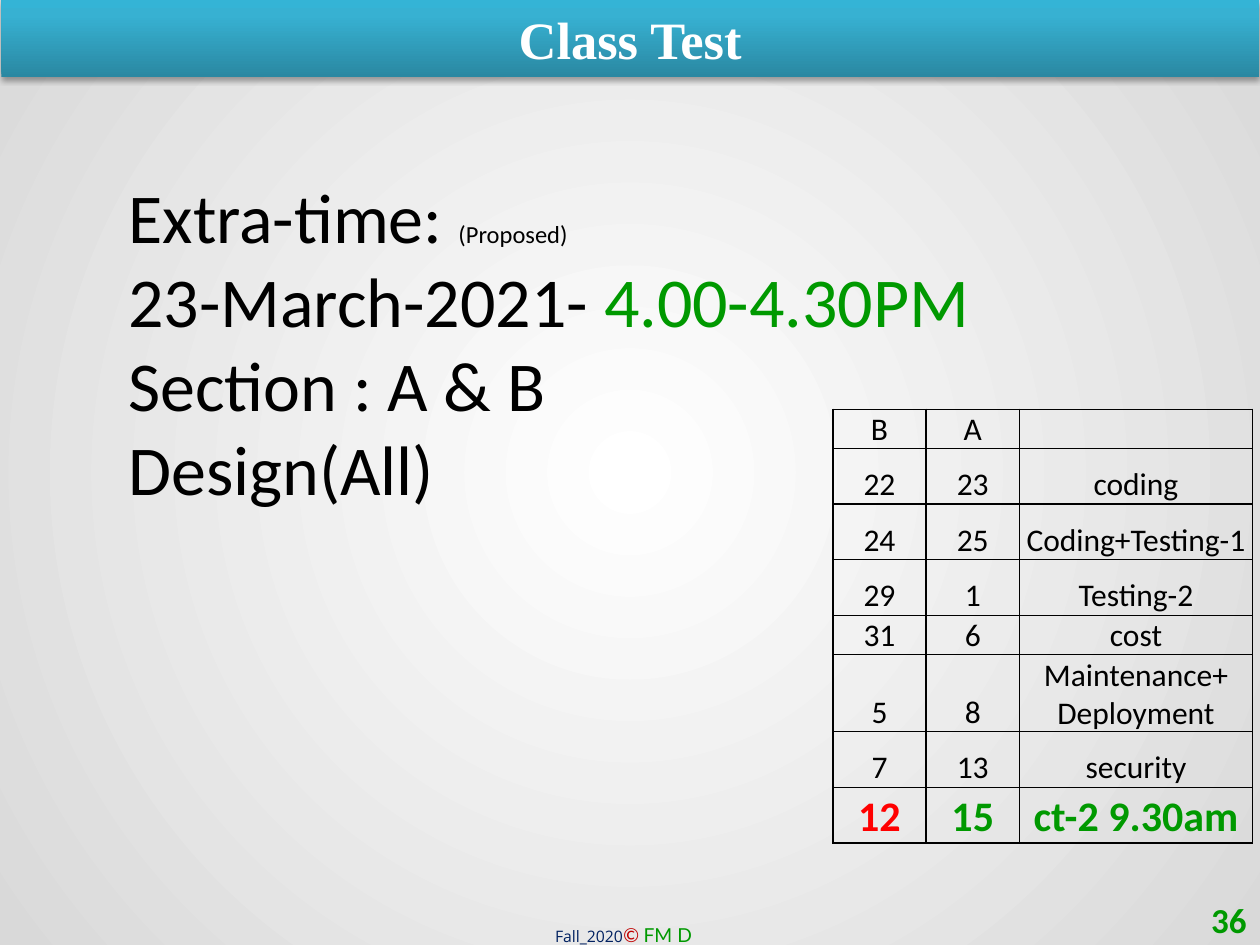
"""Build the Class Test slide with its schedule table."""
from copy import deepcopy

from lxml.etree import SubElement
from pptx import Presentation
from pptx.dml.color import RGBColor
from pptx.enum.shapes import MSO_SHAPE
from pptx.enum.text import MSO_ANCHOR, PP_ALIGN
from pptx.oxml.ns import qn
from pptx.util import Cm, Pt

COLORS = {
    "black": "000000", "white": "FFFFFF", "gray": "D9D9D9",
    "green": "009900", "red": "FF0000", "crimson": "C00000", "navy": "002060",
    "teal_dark": "2A88A2", "teal": "37B1D2", "teal_light": "34B4D6",
}


def add_run(p, text, size=18, font="Calibri", color="black", bold=False, italic=False):
    r = p.add_run()
    r.text = text
    r.font.size = Pt(size)
    r.font.name = font
    r.font.bold = bold
    r.font.italic = italic
    r.font.color.rgb = RGBColor.from_string(COLORS[color])


def set_stops(fill, stops):
    fill.gradient()
    gs_lst = fill.gradient_stops[0]._gs.getparent()
    while len(gs_lst) < len(stops):
        gs_lst.append(deepcopy(gs_lst[0]))
    for stop, (position, color) in zip(fill.gradient_stops, stops):
        stop.position = position
        stop.color.rgb = RGBColor.from_string(COLORS[color])
    return gs_lst.getparent()


prs = Presentation()
prs.slide_width, prs.slide_height = Cm(25.4), Cm(19.05)
s = prs.slides.add_slide(prs.slide_layouts[6])

grad = set_stops(s.background.fill, [(0, "white"), (1, "gray")])
for lin in grad.findall(qn("a:lin")):
    grad.remove(lin)
circle = SubElement(grad, qn("a:path"), path="circle")
SubElement(circle, qn("a:fillToRect"), l="50000", t="50000", r="50000", b="50000")

bar = s.shapes.add_shape(MSO_SHAPE.RECTANGLE, Cm(0.03), Cm(0), Cm(25.35), Cm(1.55))
set_stops(bar.fill, [(0, "teal_dark"), (0.8, "teal"), (1, "teal_light")])
bar.fill.gradient_angle = 90
bar.line.fill.background()
bar.shadow.inherit = False
effects = bar._element.spPr.find(qn("a:effectLst"))
shadow = SubElement(effects, qn("a:outerShdw"), blurRad=str(Pt(3.1)),
                    dist=str(Pt(1.8)), dir="5400000", rotWithShape="0")
shadow_color = SubElement(shadow, qn("a:srgbClr"), val=COLORS["black"])
SubElement(shadow_color, qn("a:alpha"), val="35000")
bar.text_frame.vertical_anchor = MSO_ANCHOR.MIDDLE
p = bar.text_frame.paragraphs[0]
p.alignment = PP_ALIGN.CENTER
add_run(p, "Class Test", size=30, font="Times New Roman", color="white", bold=True)

big = {"size": 40}
green = {"color": "green"}
text_boxes = [
    ((10.94, 18.49, 3.4, 0.74), PP_ALIGN.LEFT, MSO_ANCHOR.TOP, [[
        ("Fall_2020", {"size": 9, "font": "Open Sans", "color": "navy"}),
        ("© ", {"size": 11, "font": "Lato", "color": "crimson", "italic": True}),
        ("FM D", {"size": 11, "font": "Lato", **green})]]),
    ((19.46, 18.03, 5.92, 1.02), PP_ALIGN.RIGHT, MSO_ANCHOR.MIDDLE, [[
        ("36", {"size": 20, "bold": True, **green})]]),
    ((2.34, 3.38, 17.63, 7.09), PP_ALIGN.LEFT, MSO_ANCHOR.TOP, [
        [("Extra-time: ", big), ("(Proposed)", {"size": 14})],
        [("23-March-2021- ", big), ("4.00-4.30PM", {**big, **green})],
        [("Section : A & B", big)],
        [("Design(All)", big)]]),
]
for box, align, anchor, lines in text_boxes:
    tf = s.shapes.add_textbox(*map(Cm, box)).text_frame
    tf.word_wrap = True
    tf.vertical_anchor = anchor
    for i, runs in enumerate(lines):
        p = tf.add_paragraph() if i else tf.paragraphs[0]
        p.alignment = align
        for text, style in runs:
            add_run(p, text, **style)

schedule = [
    (0.66, "B", "A", ""),
    (1.12, "22", "23", "coding"),
    (1.12, "24", "25", "Coding+Testing-1"),
    (1.12, "29", "1", "Testing-2"),
    (0.61, "31", "6", "cost"),
    (0.58, "5", "8", "Maintenance+ Deployment"),
    (1.12, "7", "13", "security"),
    (1.12, "12", "15", "ct-2 9.30am"),
]
widths = [1.88, 1.88, 4.7]
table = s.shapes.add_table(len(schedule), len(widths), Cm(16.79), Cm(8.25),
                           Cm(sum(widths)), Cm(sum(row[0] for row in schedule))).table
table.first_row = table.horz_banding = False
for column, width in zip(table.columns, widths):
    column.width = Cm(width)
for i, (height, *texts) in enumerate(schedule):
    table.rows[i].height = Cm(height)
    for j, text in enumerate(texts):
        cell = table.cell(i, j)
        cell.vertical_anchor = MSO_ANCHOR.BOTTOM
        cell.margin_left = cell.margin_right = cell.margin_top = Cm(0.03)
        cell.margin_bottom = Cm(0)
        tc_pr = cell._tc.get_or_add_tcPr()
        for side in ("a:lnL", "a:lnR", "a:lnT", "a:lnB"):
            ln = SubElement(tc_pr, qn(side), w=str(Pt(1)))
            SubElement(SubElement(ln, qn("a:solidFill")), qn("a:srgbClr"), val=COLORS["black"])
        cell.fill.background()
        p = cell.text_frame.paragraphs[0]
        p.alignment = PP_ALIGN.CENTER
        style = {}
        if i == len(schedule) - 1:
            style = {"size": 24, "bold": True, "color": "green" if j else "red"}
        if text:
            add_run(p, text, **style)

prs.save("out.pptx")
